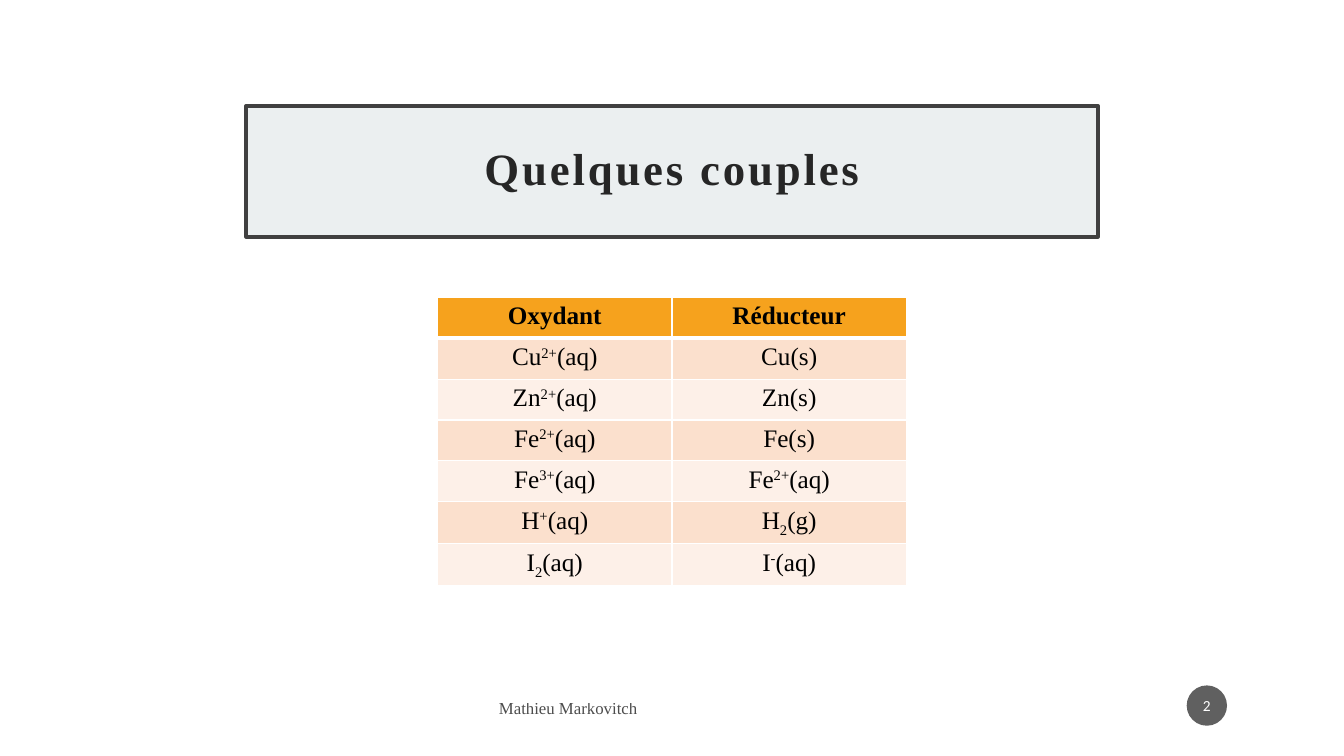
"""Build a slide listing common oxidant and reductant couples."""
from dataclasses import dataclass

from lxml.etree import SubElement
from pptx import Presentation
from pptx.dml.color import RGBColor as RGB
from pptx.enum.shapes import MSO_SHAPE as SHAPE
from pptx.enum.text import MSO_ANCHOR as ANCHOR, MSO_AUTO_SIZE as AUTO, PP_ALIGN as ALIGN
from pptx.oxml.ns import qn
from pptx.util import Inches, Pt


@dataclass(frozen=True)
class Theme:
    """Colours, fonts and type sizes of the slide."""
    serif: str = "Times New Roman"
    sans: str = "Calibri"
    title_size: int = 32
    table_size: int = 18
    footer_size: int = 12
    number_size: int = 11
    title_text: str = "262626"
    title_fill: str = "EBEFF0"
    title_line: str = "404040"
    header: str = "F6A21D"
    bands: tuple[str, str] = ("FBE0CD", "FDF0E8")
    badge: str = "1D1D1D"
    black: str = "000000"
    white: str = "FFFFFF"
    opacity: int = 70


@dataclass(frozen=True)
class Species:
    """A chemical species with its charge, atom count and state."""
    symbol: str
    state: str
    charge: str = ""
    count: str = ""


THEME = Theme()
HEADERS = ("Oxydant", "Réducteur")
COUPLES = (
    (Species("Cu", "(aq)", charge="2+"), Species("Cu", "(s)")),
    (Species("Zn", "(aq)", charge="2+"), Species("Zn", "(s)")),
    (Species("Fe", "(aq)", charge="2+"), Species("Fe", "(s)")),
    (Species("Fe", "(aq)", charge="3+"), Species("Fe", "(aq)", charge="2+")),
    (Species("H", "(aq)", charge="+"), Species("H", "(g)", count="2")),
    (Species("I", "(aq)", count="2"), Species("I", "(aq)", charge="-")),
)


def set_all(obj, values: dict) -> None:
    """Set each named attribute of an object."""
    for name, value in values.items():
        setattr(obj, name, value)


def add_run(p, text: str, size: int, color: str, font: str = THEME.serif, bold: bool = False):
    """Add a formatted run to a paragraph."""
    r = p.add_run()
    r.text = text
    set_all(r.font, {"name": font, "size": Pt(size), "bold": bold})
    r.font.color.rgb = RGB.from_string(color)
    return r


def fade(props) -> None:
    """Make the solid fill under a properties element translucent."""
    color = props.find(qn("a:solidFill")).find(qn("a:srgbClr"))
    SubElement(color, qn("a:alpha"), val=str(THEME.opacity * 1000))


def add_species(p, species: Species) -> None:
    """Write a formula with its superscript and subscript."""
    parts = ((species.symbol, 0), (species.count, -25000),
             (species.charge, 30000), (species.state, 0))
    for text, baseline in parts:
        if text:
            r = add_run(p, text, THEME.table_size, THEME.black)
            if baseline:
                r.font._element.set("baseline", str(baseline))


def style_cell(cell, row: int) -> None:
    """Give a cell its white borders and row fill."""
    widths = {"L": 1, "R": 1, "T": 3 if row == 1 else 1, "B": 3 if row == 0 else 1}
    for side, width in widths.items():
        ln = SubElement(cell._tc.get_or_add_tcPr(), qn(f"a:ln{side}"), w=str(Pt(width)))
        SubElement(SubElement(ln, qn("a:solidFill")), qn("a:srgbClr"), val=THEME.white)
    cell.fill.solid()
    color = THEME.bands[(row - 1) % 2] if row else THEME.header
    cell.fill.fore_color.rgb = RGB.from_string(color)


def add_title(s) -> None:
    """Format the framed title."""
    sp = s.shapes.title
    set_all(sp, {"left": Inches(2.44), "top": Inches(1.05),
                 "width": Inches(8.45), "height": Inches(1.3)})
    sp.fill.solid()
    sp.fill.fore_color.rgb = RGB.from_string(THEME.title_fill)
    sp.line.color.rgb = RGB.from_string(THEME.title_line)
    sp.line.width = Pt(2.5)
    tf = sp.text_frame
    set_all(tf, {"auto_size": AUTO.NONE, "word_wrap": True, "vertical_anchor": ANCHOR.MIDDLE})
    set_all(tf, {f"margin_{side}": Inches(0.2) for side in ("left", "top", "right", "bottom")})
    p = tf.paragraphs[0]
    set_all(p, {"alignment": ALIGN.CENTER, "line_spacing": 0.9})
    r = add_run(p, "Quelques couples", THEME.title_size, THEME.title_text, bold=True)
    r.font._element.set("spc", "200")


def add_couples(s) -> None:
    """Draw the table of couples."""
    rows = (HEADERS, *COUPLES)
    table = s.shapes.add_table(len(rows), len(HEADERS), Inches(4.34), Inches(2.95),
                               Inches(4.65), Inches(2.84)).table
    for i, row in enumerate(rows):
        for j, content in enumerate(row):
            cell = table.cell(i, j)
            style_cell(cell, i)
            p = cell.text_frame.paragraphs[0]
            p.alignment = ALIGN.CENTER
            if isinstance(content, Species):
                add_species(p, content)
            else:
                add_run(p, content, THEME.table_size, THEME.black, bold=True)


def add_footer(s) -> None:
    """Write the author's name."""
    tf = s.shapes.add_textbox(Inches(4.85), Inches(6.85), Inches(1.72), Inches(0.35)).text_frame
    set_all(tf, {"word_wrap": True, "vertical_anchor": ANCHOR.MIDDLE})
    r = add_run(tf.paragraphs[0], "Mathieu Markovitch", THEME.footer_size, THEME.black)
    fade(r.font._element)


def add_number(s) -> None:
    """Draw the slide number in its disc."""
    sp = s.shapes.add_shape(SHAPE.OVAL, Inches(11.77), Inches(6.8), Inches(0.4), Inches(0.4))
    sp.shadow.inherit = False
    sp.fill.solid()
    sp.fill.fore_color.rgb = RGB.from_string(THEME.badge)
    fade(sp._element.spPr)
    sp.line.fill.background()
    tf = sp.text_frame
    set_all(tf, {"vertical_anchor": ANCHOR.MIDDLE, "margin_left": Inches(0.02),
                 "margin_right": Inches(0.02)})
    p = tf.paragraphs[0]
    p.alignment = ALIGN.CENTER
    add_run(p, "2", THEME.number_size, THEME.white, THEME.sans)


def main() -> None:
    """Build and save the presentation."""
    prs = Presentation()
    set_all(prs, {"slide_width": Inches(13.33), "slide_height": Inches(7.5)})
    s = prs.slides.add_slide(prs.slide_layouts[5])
    for draw in (add_title, add_couples, add_footer, add_number):
        draw(s)
    prs.save("out.pptx")


if __name__ == "__main__":
    main()
